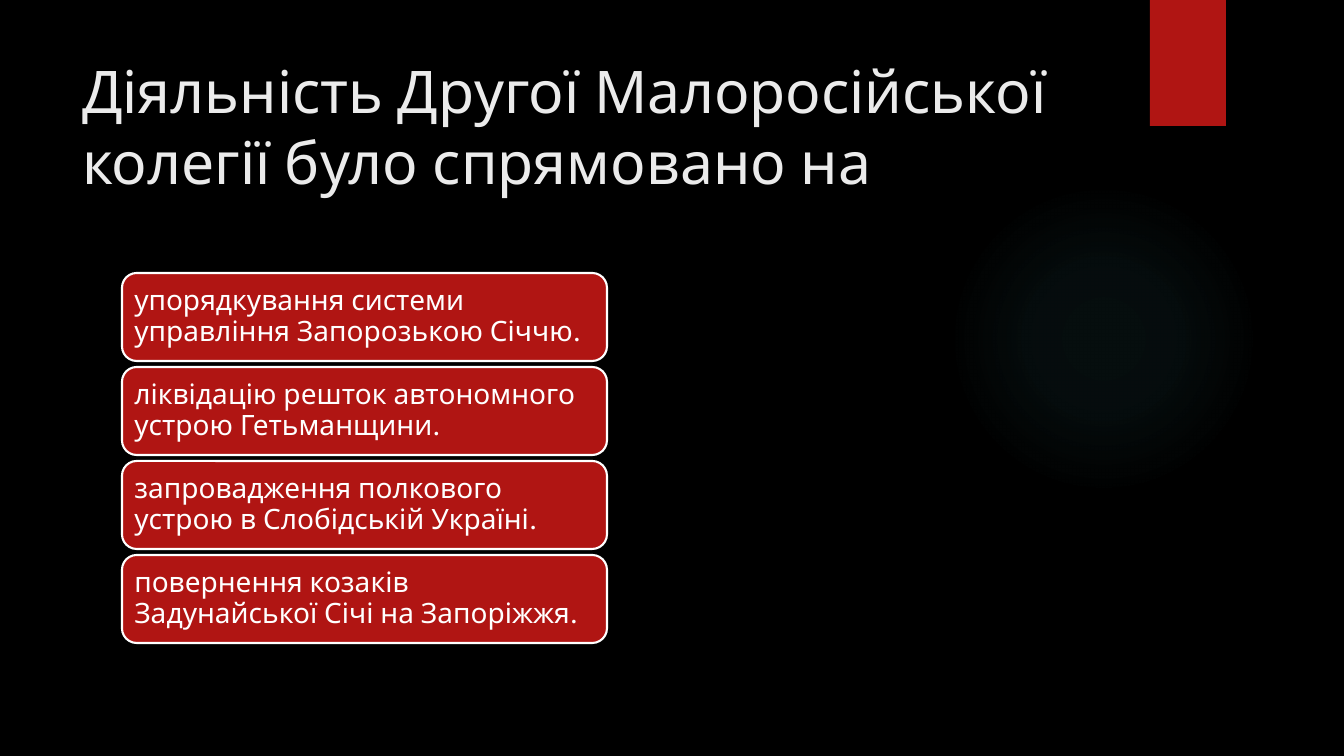
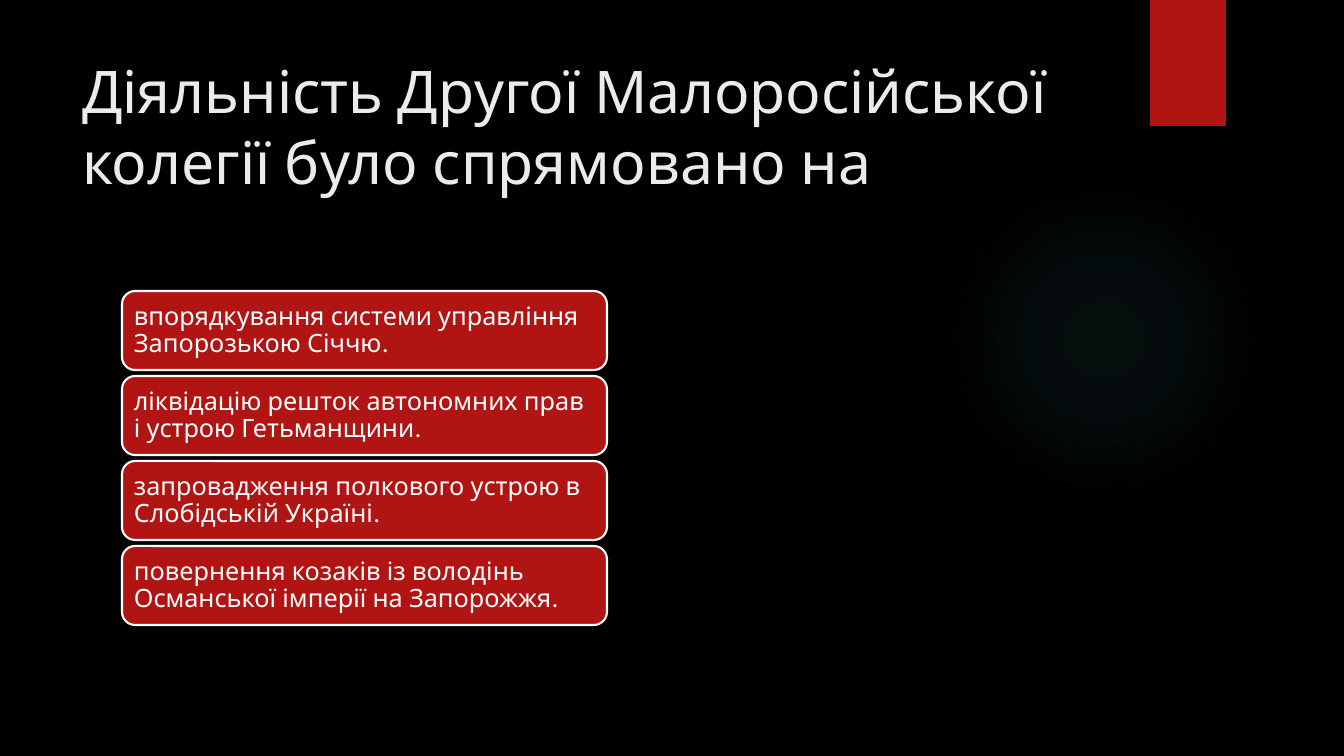
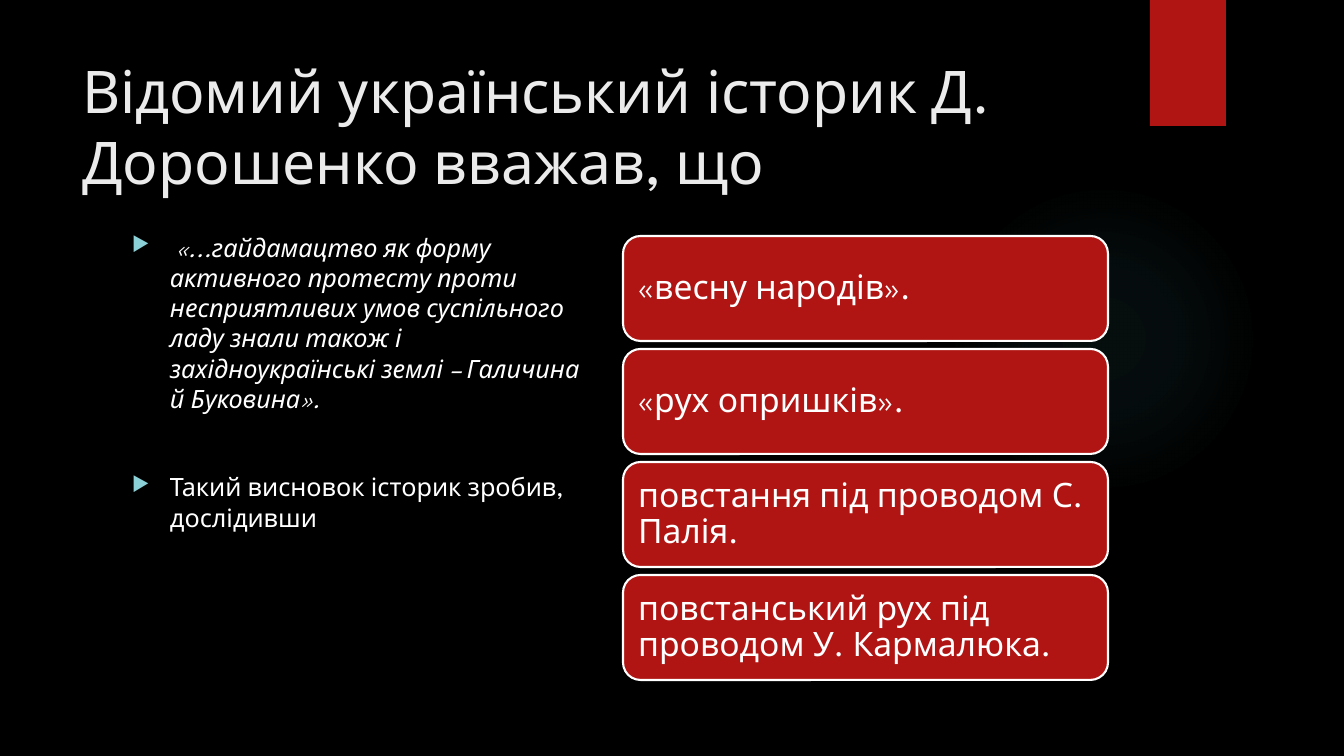
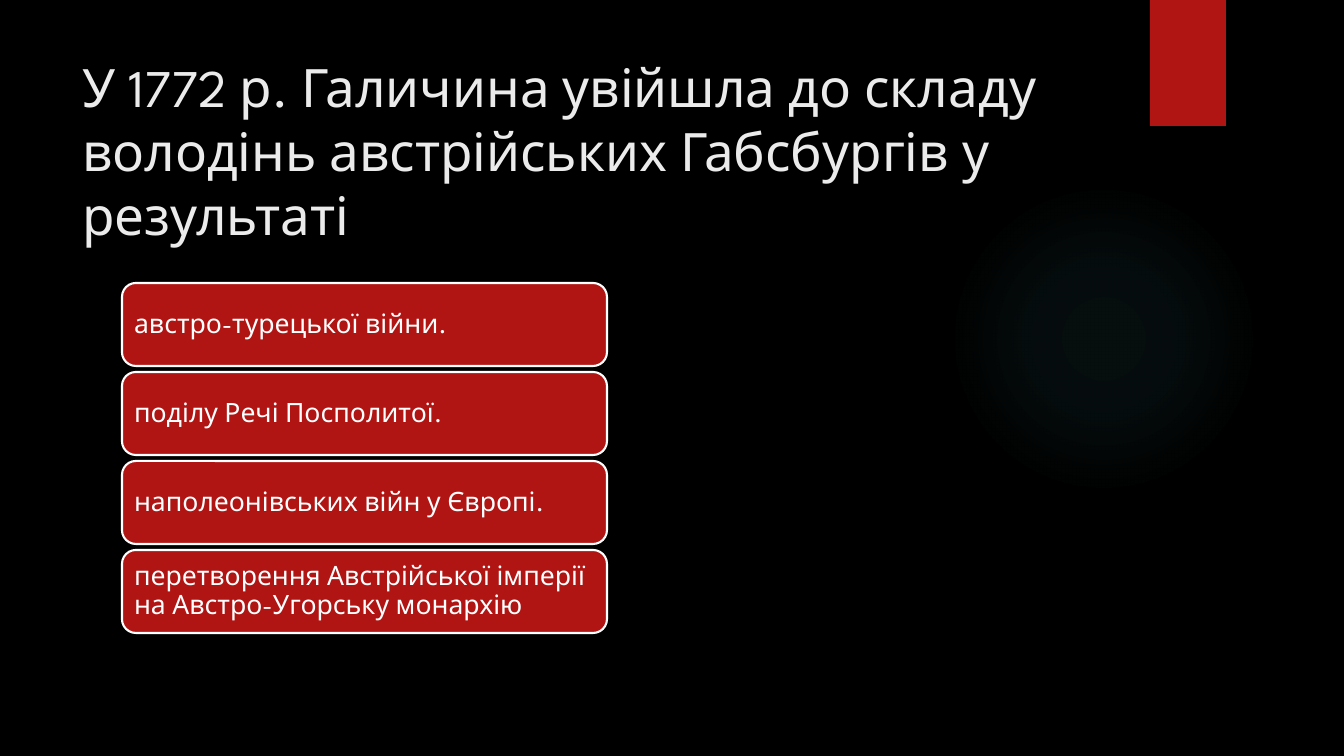
from dataclasses import dataclass

from pptx import Presentation
from pptx.dml.color import RGBColor
from pptx.enum.shapes import MSO_SHAPE
from pptx.enum.text import MSO_ANCHOR, MSO_AUTO_SIZE, PP_ALIGN
from pptx.oxml import parse_xml
from pptx.oxml.ns import nsdecls, qn
from pptx.util import Emu, Pt

RECT, OVAL, ROUNDED = MSO_SHAPE.RECTANGLE, MSO_SHAPE.OVAL, MSO_SHAPE.ROUNDED_RECTANGLE
TOP, MIDDLE = MSO_ANCHOR.TOP, MSO_ANCHOR.MIDDLE
LEFT = PP_ALIGN.LEFT
NO_FIT = MSO_AUTO_SIZE.NONE
EMU_PER_PX = 914400 / 100.8


@dataclass(frozen=True)
class Theme:
    font: str = "League Spartan"
    background: str = "000000"
    accent: str = "B01513"
    glow: str = "50B9C1"
    bullet: str = "8AD0D6"
    title: str = "EBEBEB"
    text: str = "FFFFFF"
    quote_size: int = 18
    outline: float = 1.5


THEME = Theme()
LEFT_COLUMN, RIGHT_COLUMN, COLUMN_WIDTH = 122, 623, 485
STACK_MIDDLE = 458


def px(*lengths):
    return [Emu(round(length * EMU_PER_PX)) for length in lengths]


def style(paragraph, size, color, italic=False):
    paragraph.alignment = LEFT
    font = paragraph.font
    font.name, font.size, font.italic = THEME.font, Pt(size), italic
    font.color.rgb = RGBColor.from_string(color)


COLLEGIUM_TITLE = "Діяльність Другої Малоросійської колегії було спрямовано на"
QUESTIONS = [
    (COLLEGIUM_TITLE, 42, [], LEFT_COLUMN, 20, [
        "упорядкування системи управління Запорозькою Січчю.",
        "ліквідацію решток автономного устрою Гетьманщини.",
        "запровадження полкового устрою в Слобідській Україні.",
        "повернення козаків Задунайської Січі на Запоріжжя.",
    ]),
    (COLLEGIUM_TITLE, 42, [], LEFT_COLUMN, 18, [
        "впорядкування системи управління Запорозькою Січчю.",
        "ліквідацію решток автономних прав і устрою Гетьманщини.",
        "запровадження полкового устрою в Слобідській Україні.",
        "повернення козаків із володінь Османської імперії на Запорожжя.",
    ]),
    ("Відомий український історик Д. Дорошенко вважав, що", 42, [
        (" «...гайдамацтво як форму активного протесту проти несприятливих умов "
         "суспільного ладу знали також і західноукраїнські землі – Галичина й Буковина».", True, 0),
        ("Такий висновок історик зробив, дослідивши", False, 41.6),
    ], RIGHT_COLUMN, 24, [
        "«весну народів».",
        "«рух опришків».",
        "повстання під проводом С. Палія.",
        "повстанський рух під проводом У. Кармалюка.",
    ]),
    ("У 1772 р. Галичина увійшла до складу володінь австрійських Габсбургів у результаті",
     37.8, [], LEFT_COLUMN, 19, [
         "австро-турецької війни.",
         "поділу Речі Посполитої.",
         "наполеонівських війн у Європі.",
         "перетворення Австрійської імперії на Австро-Угорську монархію",
     ]),
]

prs = Presentation()
prs.slide_width, prs.slide_height = px(1344, 756)
backdrop = prs.slide_master.background.fill
backdrop.solid()
backdrop.fore_color.rgb = RGBColor.from_string(THEME.background)
title_only = prs.slide_layouts[5]
slides = [prs.slides.add_slide(title_only) for _ in QUESTIONS]

glow = slides[0].shapes.add_shape(OVAL, *px(949, 184, 310, 310))
glow.fill.background()
stops = "".join(
    f'<a:gs pos="{position}000"><a:srgbClr val="{THEME.glow}"><a:alpha val="{alpha}000"/></a:srgbClr></a:gs>'
    for position, alpha in ((0, 7), (36, 6), (69, 0))
)
glow_fill = parse_xml(
    f'<a:gradFill {nsdecls("a")} rotWithShape="1"><a:gsLst>{stops}</a:gsLst><a:path path="circle">'
    '<a:fillToRect l="50000" t="50000" r="50000" b="50000"/></a:path></a:gradFill>'
)
glow_properties = glow.element.spPr
glow_properties.replace(glow_properties.find(qn("a:noFill")), glow_fill)

ribbon = slides[0].shapes.add_shape(RECT, *px(1150, 0, 76, 126))
ribbon.fill.solid()
ribbon.fill.fore_color.rgb = RGBColor.from_string(THEME.accent)

for position, decoration in enumerate((glow, ribbon), start=2):
    decoration.line.fill.background()
    decoration.shadow.inherit = False
    title_only.shapes.element.insert(position, decoration.element)

for slide, (heading, heading_size, statements, column, answer_size, answers) in zip(slides, QUESTIONS):
    title = slide.shapes.title
    title.left, title.top, title.width, title.height = px(72, 50, 1037, 154)
    title.text_frame.text = heading
    title.text_frame.auto_size = NO_FIT
    title.text_frame.vertical_anchor = TOP
    style(title.text_frame.paragraphs[0], heading_size, THEME.title)

    if statements:
        quote = slide.shapes.add_textbox(*px(LEFT_COLUMN, 227, COLUMN_WIDTH, 463)).text_frame
        quote.word_wrap = True
        for index, (statement, italic, space_before) in enumerate(statements):
            paragraph = quote.add_paragraph() if index else quote.paragraphs[0]
            paragraph.text = statement
            indent = px(38)[0]
            properties = paragraph._p.get_or_add_pPr()
            properties.set("marL", str(indent))
            properties.set("indent", str(-indent))
            for bullet_part in (
                f'<a:buClr {nsdecls("a")}><a:srgbClr val="{THEME.bullet}"/></a:buClr>',
                f'<a:buSzPct {nsdecls("a")} val="80000"/>',
                f'<a:buChar {nsdecls("a")} char="▶"/>',
            ):
                properties.append(parse_xml(bullet_part))
            paragraph.space_before = Pt(space_before)
            style(paragraph, THEME.quote_size, THEME.text, italic)

    height, gap, inset = (round(answer_size * ratio) for ratio in (4.38, 0.32, 0.42))
    stack_height = len(answers) * (height + gap) - gap
    for row, answer in enumerate(answers):
        top = STACK_MIDDLE - stack_height // 2 + row * (height + gap)
        card = slide.shapes.add_shape(ROUNDED, *px(column, top, COLUMN_WIDTH, height))
        card.shadow.inherit = False
        card.fill.solid()
        card.fill.fore_color.rgb = RGBColor.from_string(THEME.accent)
        card.line.color.rgb = RGBColor.from_string(THEME.text)
        card.line.width = Pt(THEME.outline)
        frame = card.text_frame
        frame.margin_left, frame.margin_top, frame.margin_right, frame.margin_bottom = px(*[inset] * 4)
        frame.word_wrap = True
        frame.vertical_anchor = MIDDLE
        frame.text = answer
        frame.paragraphs[0].line_spacing = 0.9
        style(frame.paragraphs[0], answer_size, THEME.text)

prs.save("out.pptx")
